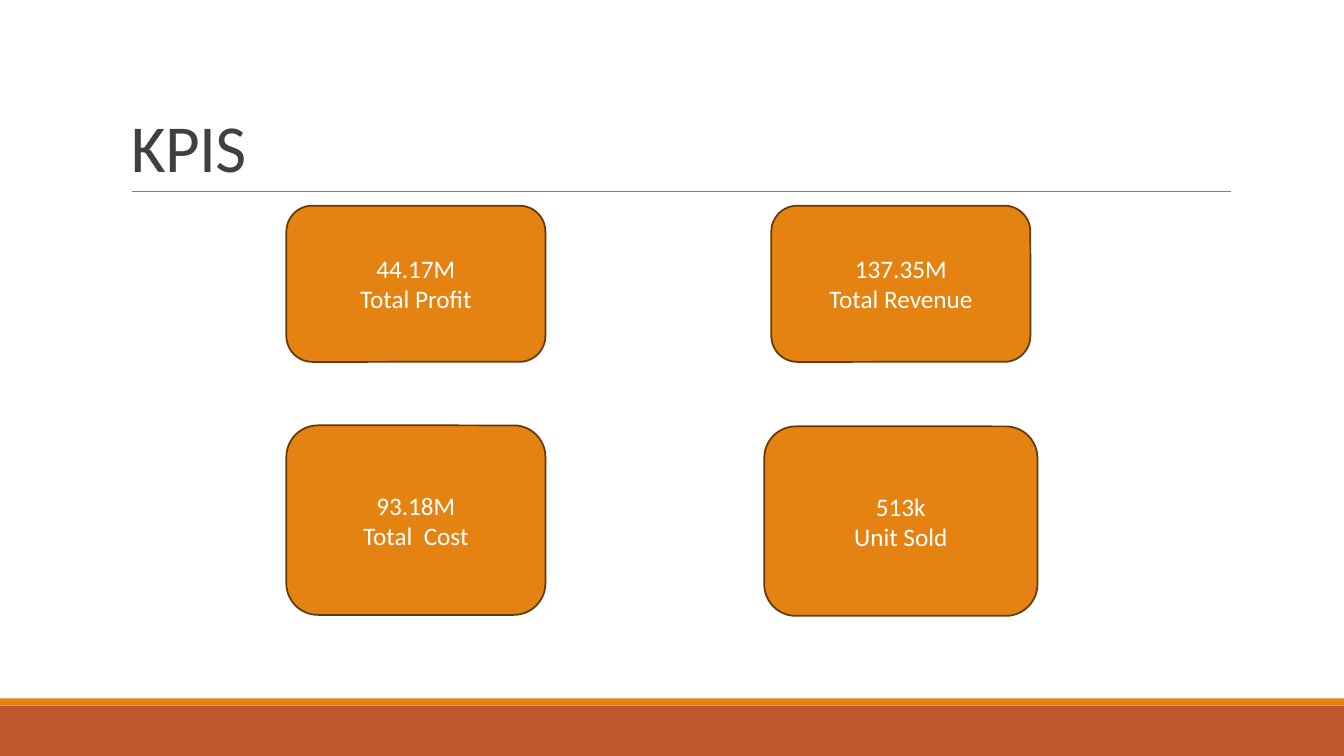
import pptx
import pptx.dml.color
import pptx.enum.shapes
import pptx.enum.text
import pptx.util
from pptx.util import Inches
from lxml import etree

COLORS = {
    "orange": "E48312",
    "rust": "BD582C",
    "card_edge": "643908",
    "rule": "808080",
    "title": "404040",
    "white": "FFFFFF",
}


def rgb(name):
    return pptx.dml.color.RGBColor.from_string(COLORS[name])


def write_lines(frame, lines, frame_format, paragraph_format, font_format, color):
    for attribute, value in frame_format.items():
        setattr(frame, attribute, value)
    for index, line in enumerate(lines):
        paragraph = frame.paragraphs[0] if index == 0 else frame.add_paragraph()
        for attribute, value in paragraph_format.items():
            setattr(paragraph, attribute, value)
        run = paragraph.add_run()
        run.text = line
        for attribute, value in font_format.items():
            setattr(run.font, attribute, value)
        run.font.color.rgb = rgb(color)


presentation = pptx.Presentation()
presentation.slide_width = Inches(13.33)
presentation.slide_height = Inches(7.5)
slide = presentation.slides.add_slide(presentation.slide_layouts[6])
shapes = slide.shapes

# Footer bands
for top, height, color in [(7, 0.5, "rust"), (6.93, 0.07, "orange")]:
    band = shapes.add_shape(pptx.enum.shapes.MSO_SHAPE.RECTANGLE,
                            0, Inches(top), Inches(13.33), Inches(height))
    band.shadow.inherit = False
    band.fill.solid()
    band.fill.fore_color.rgb = rgb(color)
    band.line.fill.background()

# Rule under the title
rule = shapes.add_connector(pptx.enum.shapes.MSO_CONNECTOR.STRAIGHT,
                            Inches(1.31), Inches(1.9), Inches(12.21), Inches(1.9))
rule.line.color.rgb = rgb("rule")
rule.line.width = pptx.util.Pt(0.5)
etree.SubElement(rule._element.spPr, pptx.oxml.ns.qn("a:effectLst"))

# Title
title = shapes.add_textbox(Inches(1.2), Inches(0.31), Inches(11), Inches(1.59))
write_lines(
    title.text_frame, ["KPIS"],
    {"word_wrap": True, "vertical_anchor": pptx.enum.text.MSO_ANCHOR.BOTTOM},
    {"line_spacing": 0.85},
    {"name": "Calibri", "size": pptx.util.Pt(48)},
    "title",
)
title.text_frame.paragraphs[0].runs[0].font._element.set("spc", "-50")

# KPI cards
kpis = [
    (7.65, 2.04, 2.57, 1.55, "137.35M", "Total Revenue"),
    (7.58, 4.23, 2.71, 1.88, "513k", "Unit Sold"),
    (2.84, 4.22, 2.57, 1.88, "93.18M", "Total  Cost"),
    (2.84, 2.04, 2.57, 1.55, "44.17M", "Total Profit"),
]
for left, top, width, height, figure, label in kpis:
    card = shapes.add_shape(pptx.enum.shapes.MSO_SHAPE.ROUNDED_RECTANGLE,
                            Inches(left), Inches(top), Inches(width), Inches(height))
    card.shadow.inherit = False
    card.fill.solid()
    card.fill.fore_color.rgb = rgb("orange")
    card.line.color.rgb = rgb("card_edge")
    card.line.width = pptx.util.Pt(1.25)
    write_lines(
        card.text_frame, [figure, label],
        {"word_wrap": True, "vertical_anchor": pptx.enum.text.MSO_ANCHOR.MIDDLE},
        {"alignment": pptx.enum.text.PP_ALIGN.CENTER},
        {"name": "Calibri", "size": pptx.util.Pt(18)},
        "white",
    )

presentation.save("out.pptx")
